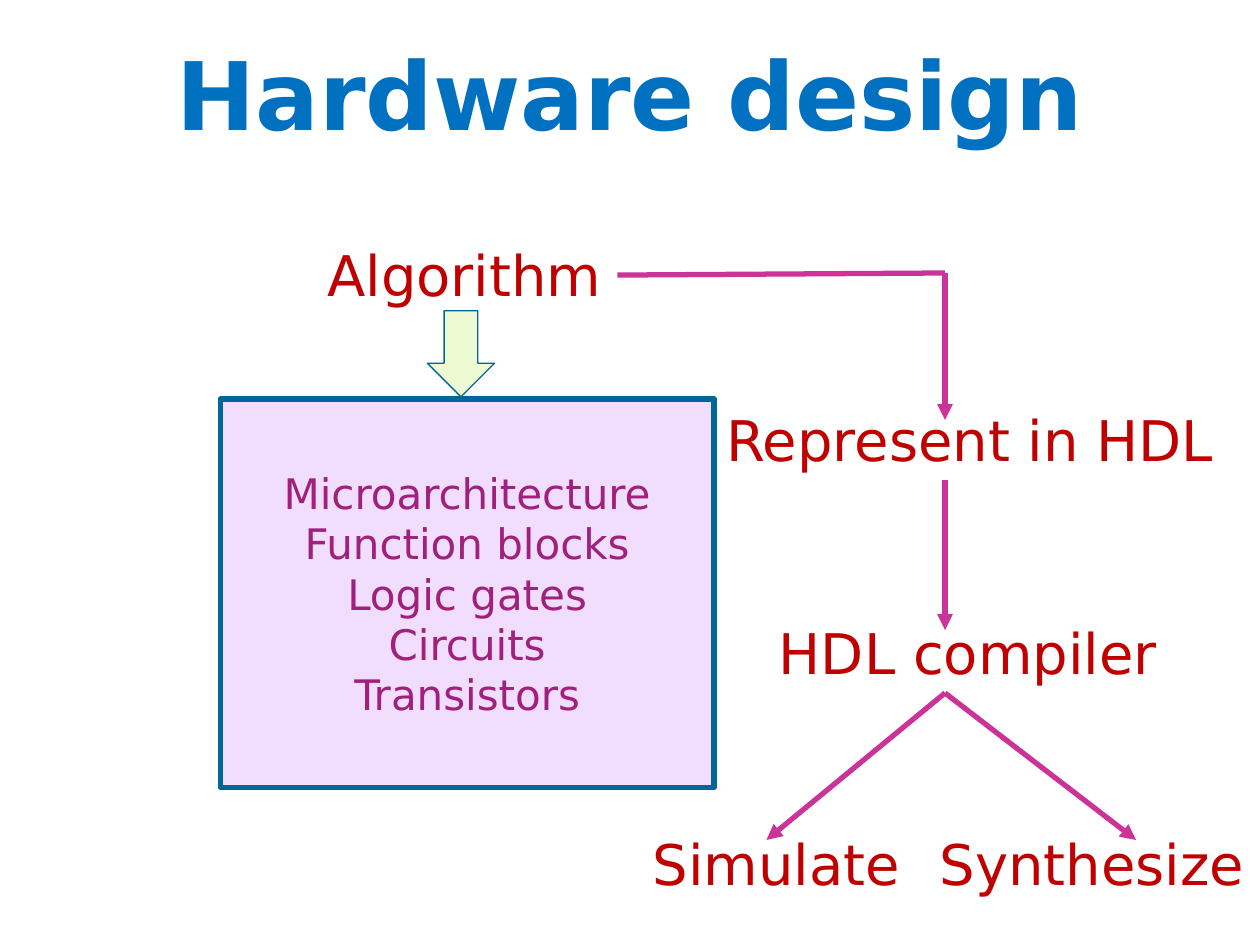
import pptx
import pptx.util
import pptx.dml.color
import pptx.enum.shapes
import pptx.enum.text
import pptx.oxml.ns
from lxml import etree

COLS, ROWS = 120, 90
HEX = {"title": "0070C0", "step": "C00000", "level": "A0207B", "edge": "006699",
       "box": "9900FF", "arrow": "EDFAD2", "flow": "CC3399"}
ALIGN = pptx.enum.text.PP_ALIGN
ANCHOR = pptx.enum.text.MSO_ANCHOR
SHAPE = pptx.enum.shapes.MSO_SHAPE


def sub(node, tag, **attrs):
    return etree.SubElement(node, pptx.oxml.ns.qn(tag), attrs)


class Deck:
    font = "DejaVu Sans"

    def __init__(self):
        self.prs = pptx.Presentation()
        self.prs.slide_width = pptx.util.Inches(10)
        self.prs.slide_height = pptx.util.Inches(7.5)
        self.slide = self.prs.slides.add_slide(self.prs.slide_layouts[5])
        self.shapes = self.slide.shapes

    def grid(self, *spots):
        """Turn column, row, column, row ... into slide lengths."""
        units = self.prs.slide_width / COLS, self.prs.slide_height / ROWS
        return [round(n * units[i % 2]) for i, n in enumerate(spots)]

    def color(self, name):
        return pptx.dml.color.RGBColor.from_string(HEX[name])

    def words(self, shape, lines, size, color, bold=False, align=ALIGN.LEFT, **frame):
        text = shape.text_frame
        text.text = "\n".join(lines)
        for key, value in frame.items():
            setattr(text, key, value)
        style = {"name": self.font, "size": pptx.util.Pt(size), "bold": bold}
        for para in text.paragraphs:
            para.alignment = align
            for run in para.runs:
                for key, value in style.items():
                    setattr(run.font, key, value)
                run.font.color.rgb = self.color(color)

    def title(self, line, *spot):
        shape = self.shapes.title
        for key, value in zip(("left", "top", "width", "height"), self.grid(*spot)):
            setattr(shape, key, value)
        self.words(shape, [line], 54, "title", True, ALIGN.CENTER,
                   vertical_anchor=ANCHOR.BOTTOM, word_wrap=True)
        shape.text_frame.paragraphs[0].line_spacing = 0.9

    def label(self, line, *spot, wrap=False):
        self.words(self.shapes.add_textbox(*self.grid(*spot)), [line], 32, "step",
                   word_wrap=wrap, auto_size=pptx.enum.text.MSO_AUTO_SIZE.SHAPE_TO_FIT_TEXT)

    def block(self, kind, fill, width, *spot, alpha=None):
        shape = self.shapes.add_shape(kind, *self.grid(*spot))
        shape.shadow.inherit = False
        shape.fill.solid()
        shape.fill.fore_color.rgb = self.color(fill)
        if alpha:
            tint = shape._element.spPr.find(".//" + pptx.oxml.ns.qn("a:srgbClr"))
            sub(tint, "a:alpha", val=str(alpha * 1000))
        shape.line.color.rgb = self.color("edge")
        shape.line.width = pptx.util.Pt(width)
        return shape

    def flow(self, *ends, head=True):
        line = self.shapes.add_connector(
            pptx.enum.shapes.MSO_CONNECTOR.STRAIGHT, *self.grid(*ends))
        line.line.color.rgb = self.color("flow")
        line.line.width = pptx.util.Pt(3)
        props = line._element.spPr
        if head:
            sub(props.find(pptx.oxml.ns.qn("a:ln")), "a:tailEnd", type="triangle")
        sub(props, "a:effectLst")


def main():
    deck = Deck()
    deck.title("Hardware design", 0, 0, COLS, 15)

    # Levels of the design
    box = deck.block(SHAPE.RECTANGLE, "box", 3, 21, 38, 47, 37, alpha=13)
    levels = ["Microarchitecture", "Function blocks", "Logic gates", "Circuits", "Transistors"]
    deck.words(box, levels, 24, "level", align=ALIGN.CENTER,
               vertical_anchor=ANCHOR.MIDDLE, word_wrap=False)

    # Steps from algorithm to result
    tall = 7.7
    deck.label("Algorithm", 30, 22.3, 28.8, tall)
    deck.block(SHAPE.DOWN_ARROW, "arrow", 0.75, 40.7, 29.6, 6.4, 8.2)
    deck.label("Represent in HDL", 68, 38, 50.6, tall, wrap=True)
    deck.label("HDL compiler", 73, 58.3, 38.6, tall)
    deck.label("Simulate", 61, 78.4, 26.3, tall)
    deck.label("Synthesize", 88.3, 78.4, 31.7, tall)

    # Flow down the HDL side
    mid, fork, end = 90, 66, 80
    deck.flow(58.8, 26.2, mid, 26, head=False)
    for top, low in ((26, 40), (45.7, 60)):
        deck.flow(mid, top, mid, low)
    for col in (73, 108.2):
        deck.flow(mid, fork, col, end)

    deck.prs.save("out.pptx")


if __name__ == "__main__":
    main()
